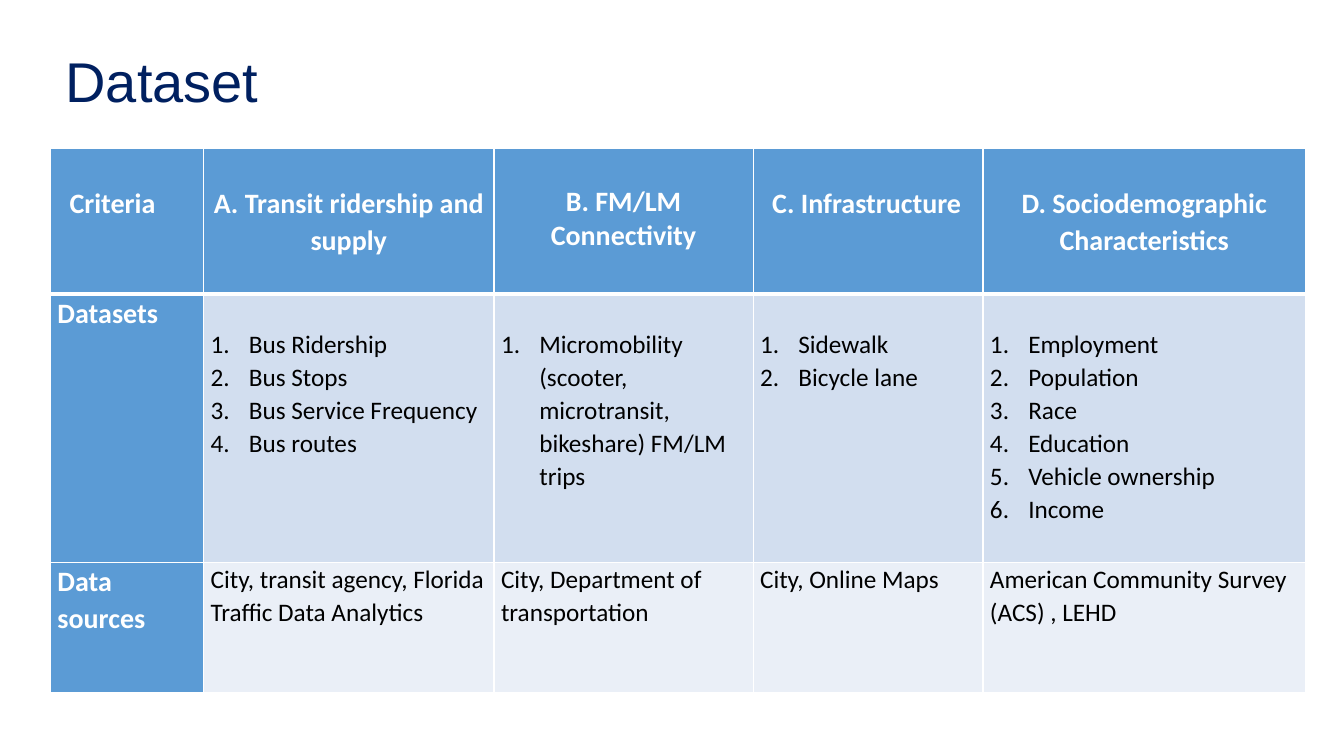
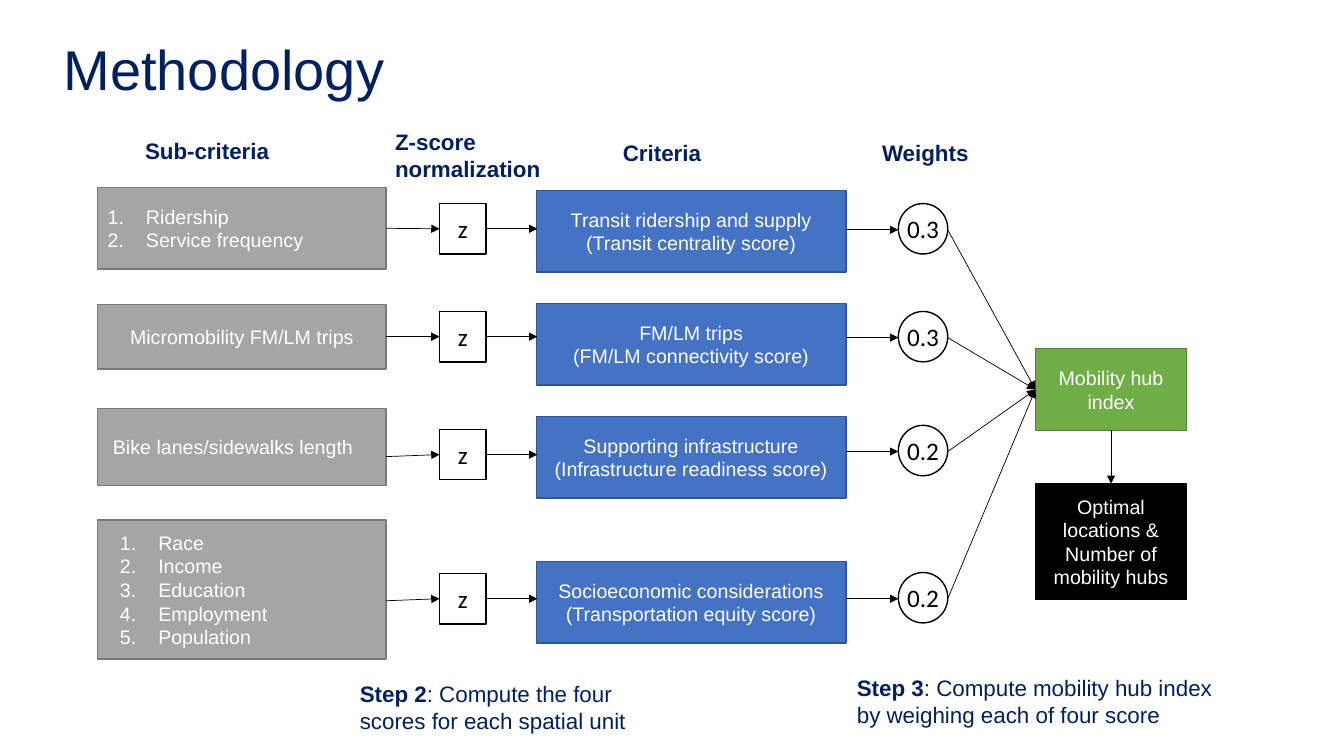
"""Build a dataset table slide and a methodology flow slide."""
from lxml import etree
from pptx import Presentation
from pptx.dml.color import RGBColor
from pptx.enum.shapes import MSO_CONNECTOR, MSO_SHAPE
from pptx.enum.text import MSO_ANCHOR, PP_ALIGN
from pptx.oxml.ns import qn
from pptx.util import Inches, Pt

LEFT, CENTER = PP_ALIGN.LEFT, PP_ALIGN.CENTER
MIDDLE = MSO_ANCHOR.MIDDLE
RECTANGLE, CIRCLE = MSO_SHAPE.RECTANGLE, MSO_SHAPE.FLOWCHART_CONNECTOR
STRAIGHT = MSO_CONNECTOR.STRAIGHT
TOP_SIDE, LEFT_SIDE, BOTTOM_SIDE, RIGHT_SIDE = range(4)
NAVY, WHITE, BLACK = "002060", "FFFFFF", "000000"
HEADER_BLUE, BAND_DARK, BAND_LIGHT = "5B9BD5", "D2DEEF", "EAEFF7"
color = RGBColor.from_string


def write_text(frame, text, lead="", size=14, ink=WHITE, font="Arial", bold=False,
               align=LEFT, anchor=None, spacing=None, numbered=False):
    """Fill a text frame, one paragraph per line, after an optional bold lead."""
    frame.word_wrap = True
    if anchor is not None:
        frame.vertical_anchor = anchor
    for index, line in enumerate(text.split("\n")):
        paragraph = frame.add_paragraph() if index else frame.paragraphs[0]
        paragraph.alignment = align
        if spacing:
            paragraph.line_spacing = spacing
        if numbered:
            properties = paragraph._p.get_or_add_pPr()
            properties.set("marL", str(Inches(0.38)))
            properties.set("indent", str(-Inches(0.38)))
            etree.SubElement(properties, qn("a:buAutoNum"), type="arabicPeriod")
        pieces = [(line, bold)]
        if lead and index == 0:
            pieces.insert(0, (lead, True))
        for piece, is_bold in pieces:
            run = paragraph.add_run()
            run.text = piece
            run.font.name, run.font.size, run.font.bold = font, Pt(size), is_bold
            run.font.color.rgb = color(ink)


def add_box(slide, kind, left, top, width, height, fill, line, text, **style):
    """Add a filled, outlined shape with vertically centred text."""
    shape = slide.shapes.add_shape(kind, Inches(left), Inches(top), Inches(width), Inches(height))
    shape.shadow.inherit = False
    shape.fill.solid()
    shape.fill.fore_color.rgb = color(fill)
    shape.line.color.rgb = color(line)
    shape.line.width = Pt(1)
    write_text(shape.text_frame, text, anchor=MIDDLE, **style)
    return shape


presentation = Presentation()
presentation.slide_width, presentation.slide_height = Inches(13.33), Inches(7.5)
slides = []
for heading, left, top, width, height in [
    ("Dataset", 0.55, 0.4, 11.87, 0.88),
    ("Methodology", 0.53, 0.11, 8.11, 1.22),
]:
    slide = presentation.slides.add_slide(presentation.slide_layouts[5])
    title = slide.shapes.title
    title.left, title.top = Inches(left), Inches(top)
    title.width, title.height = Inches(width), Inches(height)
    write_text(title.text_frame, heading, size=40, ink=NAVY, anchor=MIDDLE, spacing=0.9)
    slides.append(slide)
dataset_slide, method_slide = slides

column_widths = [1.52, 2.88, 2.57, 2.28, 3.2]
row_heights = [1.45, 2.66, 1.29]
row_fills = [HEADER_BLUE, BAND_DARK, BAND_LIGHT]
top_margins = [0.36, 0.33, 0]
table_rows = [
    ["Criteria", "A. Transit ridership and supply", "B. FM/LM Connectivity",
     "C. Infrastructure", "D. Sociodemographic Characteristics"],
    ["Datasets", "Bus Ridership\nBus Stops\nBus Service Frequency\nBus routes",
     "Micromobility (scooter, microtransit, bikeshare) FM/LM trips",
     "Sidewalk\nBicycle lane",
     "Employment\nPopulation\nRace\nEducation\nVehicle ownership\nIncome"],
    ["Data\nsources", "City, transit agency, Florida Traffic Data Analytics",
     "City, Department of transportation", "City, Online Maps",
     "American Community Survey (ACS) , LEHD"],
]
table = dataset_slide.shapes.add_table(
    3, 5, Inches(0.5), Inches(1.47), Inches(sum(column_widths)), Inches(sum(row_heights))).table
for column, width in zip(table.columns, column_widths):
    column.width = Inches(width)
for row_index, texts in enumerate(table_rows):
    table.rows[row_index].height = Inches(row_heights[row_index])
    for column_index, text in enumerate(texts):
        cell = table.cell(row_index, column_index)
        is_header = row_index == 0
        is_label = is_header or column_index == 0
        indented = is_header and column_index in (0, 3)
        cell.margin_left = Inches(0.19 if indented else 0.07)
        cell.margin_right = Inches(0.07)
        cell.margin_top = Inches(top_margins[row_index] if is_header or column_index else 0)
        cell.margin_bottom = 0
        cell_properties = cell._tc.get_or_add_tcPr()
        for side in "LRTB":
            thick = (row_index, side) in [(0, "B"), (1, "T")]
            border = etree.SubElement(cell_properties, qn(f"a:ln{side}"), w=str(Pt(3 if thick else 1)))
            border_fill = etree.SubElement(border, qn("a:solidFill"))
            etree.SubElement(border_fill, qn("a:srgbClr"), val=WHITE)
        cell.fill.solid()
        cell.fill.fore_color.rgb = color(HEADER_BLUE if is_label else row_fills[row_index])
        write_text(cell.text_frame, text, font="Calibri", size=20 if is_label else 18,
                   ink=WHITE if is_label else BLACK, bold=is_label,
                   align=CENTER if is_header and not indented else LEFT,
                   spacing=1 if text.startswith("B.") else 1.07,
                   numbered=row_index == 1 and column_index > 0)

for left, top, width, height, lead, text in [
    (1.34, 1.31, 2.14, 0.4, "", "Sub-criteria"),
    (3.82, 1.22, 2.14, 0.64, "", "Z-score normalization"),
    (6.08, 1.33, 2.14, 0.4, "", "Criteria"),
    (8.65, 1.33, 2.14, 0.4, "", "Weights"),
    (3.47, 6.7, 2.95, 0.64, "Step 2", ": Compute the four scores for each spatial unit"),
    (8.4, 6.64, 3.85, 0.64, "Step 3", ": Compute mobility hub index by weighing each of four score"),
]:
    caption = method_slide.shapes.add_textbox(Inches(left), Inches(top), Inches(width), Inches(height))
    write_text(caption.text_frame, text, lead=lead, size=16, ink=NAVY, bold=not lead)

hub = add_box(method_slide, RECTANGLE, 10.27, 3.46, 1.5, 0.81, "70AD47", "538035",
              "Mobility hub index", align=CENTER)
result = add_box(method_slide, RECTANGLE, 10.27, 4.8, 1.5, 1.15, BLACK, BLACK,
                 "Optimal locations & Number of mobility hubs", align=CENTER)
arrows = [(11.02, 4.27, 11.02, 4.8, (hub, BOTTOM_SIDE), (result, TOP_SIDE))]

flow_rows = [
    (1.86, 0.81, 0.1, "Ridership\nService frequency", 2.02, 1.89,
     "Transit ridership and supply\n(Transit centrality score)", 2.02, "0.3"),
    (3.02, 0.64, 0.1, "Micromobility FM/LM trips", 3.09, 3.01,
     "FM/LM trips\n(FM/LM connectivity score)", 3.09, "0.3"),
    (4.05, 0.77, 0.15, "Bike lanes/sidewalks length", 4.26, 4.13,
     "Supporting infrastructure\n(Infrastructure readiness score)", 4.22, "0.2"),
    (5.16, 1.38, 0.22, "Race\nIncome\nEducation\nEmployment\nPopulation", 5.69, 5.57,
     "Socioeconomic considerations\n(Transportation equity score)", 5.68, "0.2"),
]
for (source_top, source_height, inset, source_text, z_top,
     criterion_top, criterion_text, weight_top, weight_text) in flow_rows:
    source = add_box(method_slide, RECTANGLE, 0.97, source_top, 2.86, source_height,
                     "A5A5A5", "7A7A7A", source_text, numbered="\n" in source_text,
                     align=CENTER if "trips" in source_text else LEFT)
    source.text_frame.margin_left = Inches(inset)
    z_box = add_box(method_slide, RECTANGLE, 4.36, z_top, 0.46, 0.5, WHITE, BLACK, "z",
                    size=18, ink=BLACK, font="Calibri", align=CENTER)
    add_box(method_slide, RECTANGLE, 5.32, criterion_top, 3.07, 0.81, "4472C4", "325491",
            criterion_text, align=CENTER)
    weight = add_box(method_slide, CIRCLE, 8.91, weight_top, 0.49, 0.5, WHITE, BLACK, weight_text,
                     size=18, ink=BLACK, font="Calibri", align=CENTER)
    weight.text_frame.margin_left = weight.text_frame.margin_right = 0
    z_middle, weight_middle = z_top + 0.25, weight_top + 0.26
    is_level = abs(source_top + source_height / 2 - z_middle) < 0.02
    arrows += [
        (3.83, z_middle + 0.02, 4.36, z_middle,
         (source, RIGHT_SIDE) if is_level else None, (z_box, LEFT_SIDE)),
        (4.82, z_middle, 5.33, z_middle, (z_box, RIGHT_SIDE), None),
        (8.39, weight_middle, 8.91, weight_middle, None, None),
        (9.4, weight_middle, 10.27, 3.87, None, (hub, LEFT_SIDE)),
    ]

for start_x, start_y, end_x, end_y, begin, end in arrows:
    arrow = method_slide.shapes.add_connector(
        STRAIGHT, Inches(start_x), Inches(start_y), Inches(end_x), Inches(end_y))
    if begin:
        arrow.begin_connect(*begin)
    if end:
        arrow.end_connect(*end)
    arrow.line.color.rgb = color(BLACK)
    arrow.line.width = Pt(0.5)
    etree.SubElement(arrow.line._get_or_add_ln(), qn("a:tailEnd"), type="triangle")
    etree.SubElement(arrow._element.spPr, qn("a:effectLst"))

presentation.save("out.pptx")
